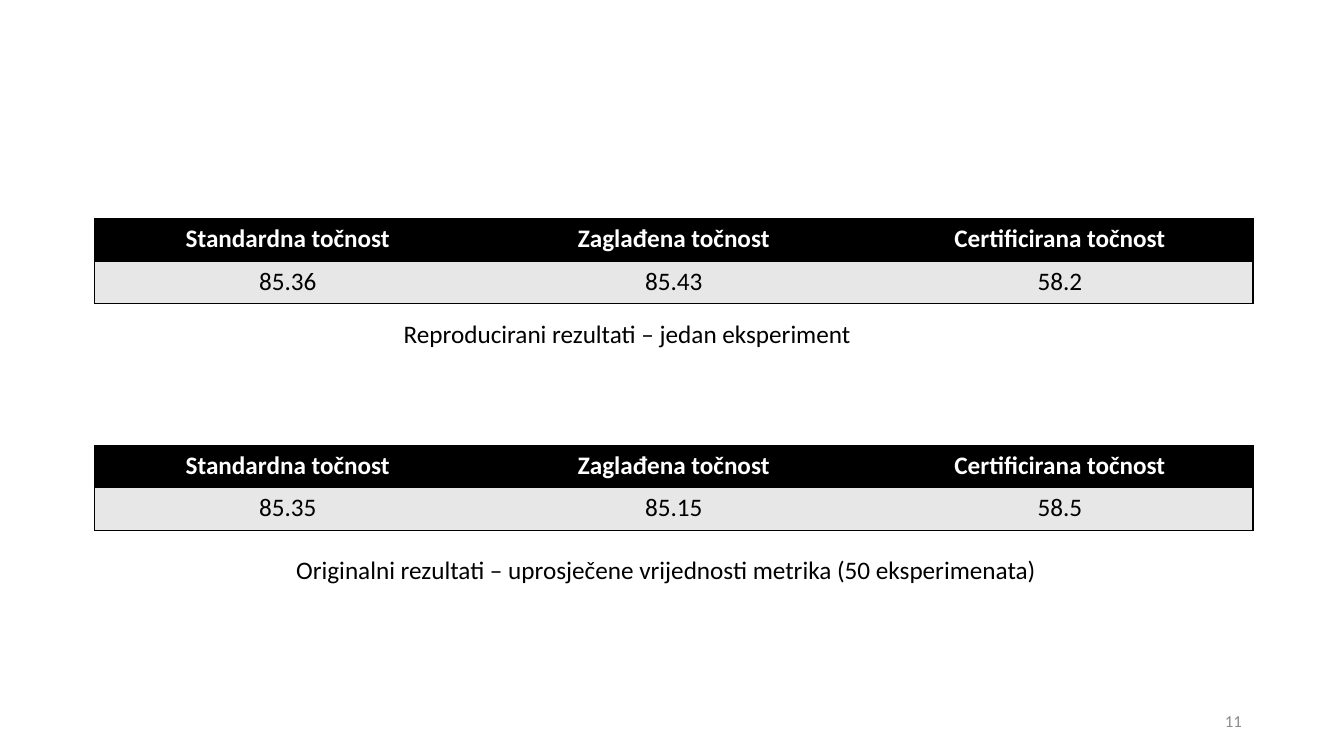
from lxml.etree import SubElement
from pptx import Presentation
from pptx.dml.color import RGBColor
from pptx.enum.text import MSO_ANCHOR, PP_ALIGN
from pptx.oxml.ns import qn
from pptx.util import Pt

COLORS = {"ink": "000000", "paper": "FFFFFF", "band": "E7E7E7", "muted": "8C8C8C"}
METRICS = ["Standardna točnost", "Zaglađena točnost", "Certificirana točnost"]
ROW_HEIGHT = 30.24
RESULTS = [
    {
        "box": (67.68, 156.24, 827.28),
        "scores": ["85.36", "85.43", "58.2"],
        "caption": "Reproducirani rezultati – jedan eksperiment",
        "caption_box": (213.6, 67.4, 339.12, 29.08),
    },
    {
        "box": (67.68, 318.24, 827.28),
        "scores": ["85.35", "85.15", "58.5"],
        "caption": "Originalni rezultati – uprosječene vrijednosti metrika (50 eksperimenata)",
        "caption_box": (136.8, 74.16, 555.12, 29.08),
    },
]


def write(frame, text, size=18, color="ink", bold=False, align=PP_ALIGN.LEFT):
    """Put one formatted line of text into a text frame."""
    line = frame.paragraphs[0]
    line.alignment = align
    run = line.add_run()
    run.text = text
    run.font.name = "Calibri"
    run.font.size = Pt(size)
    run.font.bold = bold
    run.font.color.rgb = RGBColor.from_string(COLORS[color])


def add_label(slide, box, text, anchor=MSO_ANCHOR.TOP, **style):
    """Add a wrapping text box at the given box."""
    frame = slide.shapes.add_textbox(*map(Pt, box)).text_frame
    frame.word_wrap = True
    frame.vertical_anchor = anchor
    write(frame, text, **style)


def set_borders(cell, drawn_sides):
    """Rule the named sides of a cell and clear the others."""
    properties = cell._tc.get_or_add_tcPr()
    for side in "LRTB":
        border = SubElement(properties, qn(f"a:ln{side}"), w=str(Pt(1)))
        if side in drawn_sides:
            fill = SubElement(border, qn("a:solidFill"))
            SubElement(fill, qn("a:srgbClr"), val=COLORS["ink"])
        else:
            SubElement(border, qn("a:noFill"))


def add_results(slide, box, scores, caption, caption_box):
    """Add a table of metrics with its caption below, placed from the box corner."""
    left, top, width = box
    rows = [METRICS, scores]
    table = slide.shapes.add_table(
        len(rows), len(METRICS), Pt(left), Pt(top), Pt(width), Pt(ROW_HEIGHT * len(rows))
    ).table
    table.horz_banding = False
    for row_index, values in enumerate(rows):
        is_header = row_index == 0
        for column_index, value in enumerate(values):
            cell = table.cell(row_index, column_index)
            sides = "TB"
            if column_index == 0:
                sides += "L"
            if column_index == len(values) - 1:
                sides += "R"
            set_borders(cell, sides)
            cell.fill.solid()
            cell.fill.fore_color.rgb = RGBColor.from_string(
                COLORS["ink" if is_header else "band"]
            )
            write(
                cell.text_frame,
                value,
                color="paper" if is_header else "ink",
                bold=is_header,
                align=PP_ALIGN.CENTER,
            )
    offset_x, offset_y, caption_width, caption_height = caption_box
    add_label(
        slide, (left + offset_x, top + offset_y, caption_width, caption_height), caption
    )


def add_page_number(slide, box, number):
    """Add the page number, right-aligned in its box."""
    add_label(
        slide, box, number, anchor=MSO_ANCHOR.MIDDLE,
        size=12, color="muted", align=PP_ALIGN.RIGHT,
    )


def main():
    """Build the results slide and save it."""
    deck = Presentation()
    deck.slide_width, deck.slide_height = Pt(960), Pt(540)
    slide = deck.slides.add_slide(deck.slide_layouts[6])
    for result in RESULTS:
        add_results(slide, **result)
    add_page_number(slide, (678.24, 500.4, 216, 28.8), "11")
    deck.save("out.pptx")


if __name__ == "__main__":
    main()
